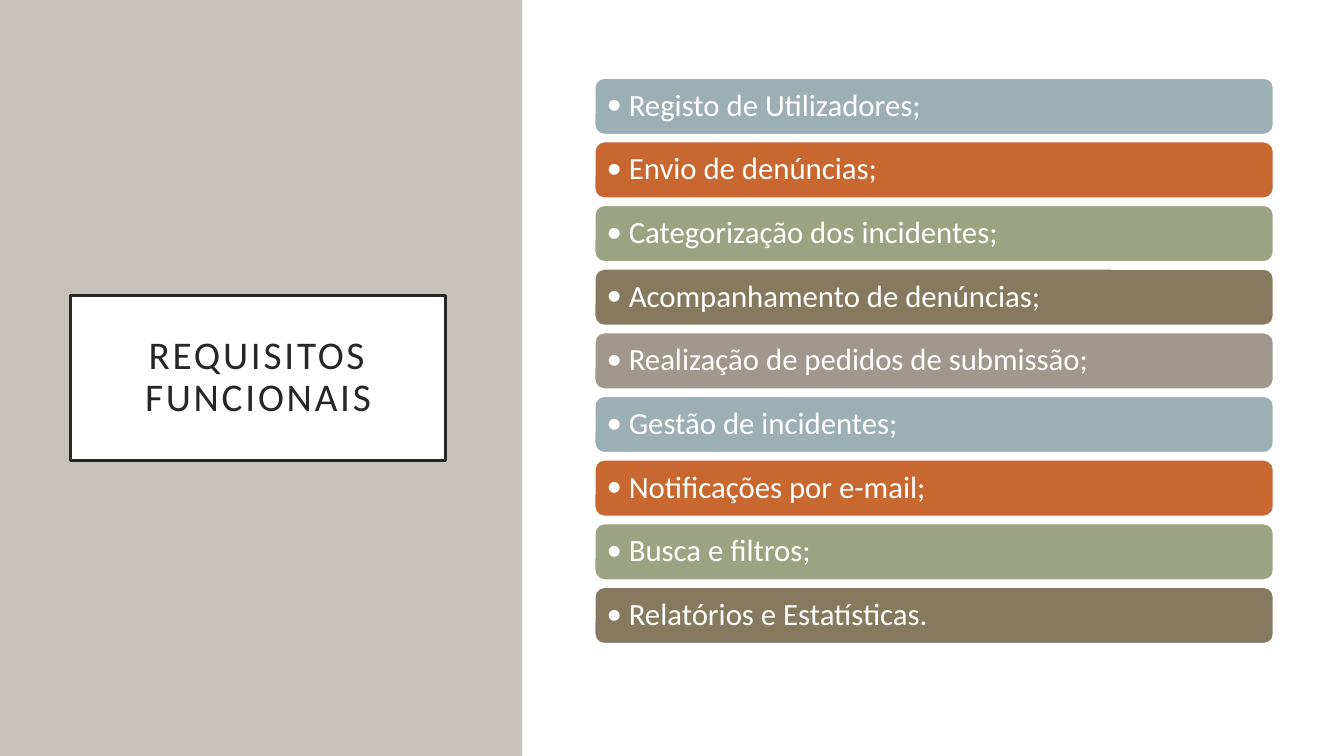
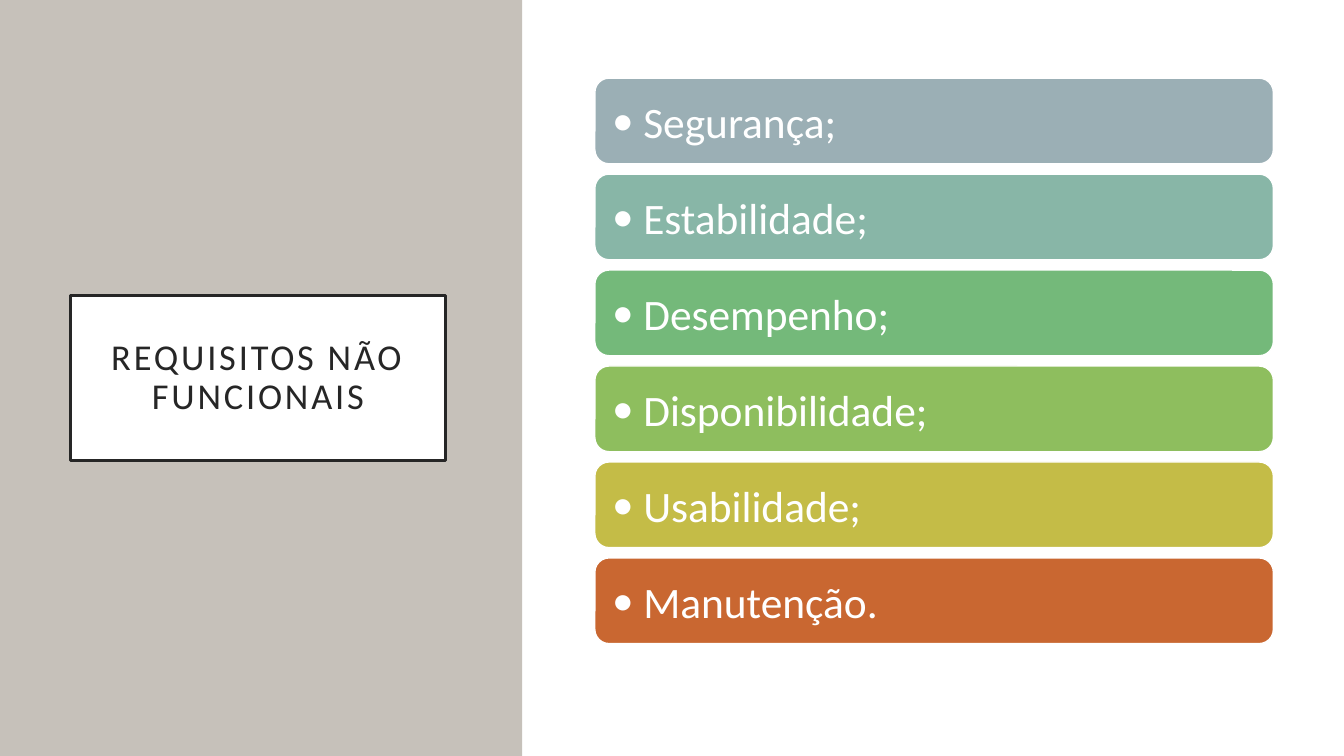
from dataclasses import dataclass
from typing import Any

from lxml.etree import SubElement
from pptx import Presentation
from pptx.dml.color import RGBColor
from pptx.enum.shapes import MSO_SHAPE as Preset
from pptx.enum.text import MSO_ANCHOR as Anchor, MSO_AUTO_SIZE as AutoSize, PP_ALIGN as Align
from pptx.oxml.ns import qn
from pptx.util import Inches, Pt

CELL = Inches(0.1)
FONT = "Calibri"
WHITE, INK, STONE = "FFFFFF", "262626", "C6C1BA"
BLUE, ORANGE, SAGE, BROWN, TAUPE = "9BAFB5", "C96731", "9CA383", "87795D", "A0988C"
TEAL, GREEN, LIME, MUSTARD = "88B6A7", "74B97A", "8EBE5E", "C4BC47"
BULLET_EM = 0.72


@dataclass(frozen=True)
class Area:
    column: float
    row: float
    columns: float
    rows: float

    def place(self) -> dict[str, int]:
        lengths = (self.column, self.row, self.columns, self.rows)
        return {name: round(length * CELL)
                for name, length in zip(("left", "top", "width", "height"), lengths)}


@dataclass(frozen=True)
class ListPage:
    title: str
    title_size: int
    items: tuple[str, ...]
    colors: tuple[str, ...]
    text_size: int
    gap_share: float
    inset: float
    line_spacing: float


PANEL = Area(0, 0, 51.8, 75)
TITLE = Area(7, 29.3, 37.2, 16.4)
BARS = Area(59, 7.75, 67.3, 56.1)

PAGES = (
    ListPage(
        "REQUISITOS FUNCIONAIS", 28,
        ("Registo de Utilizadores;", "Envio de denúncias;", "Categorização dos incidentes;",
         "Acompanhamento de denúncias;", "Realização de pedidos de submissão;",
         "Gestão de incidentes;", "Notificações por e-mail;", "Busca e filtros;",
         "Relatórios e Estatísticas."),
        (BLUE, ORANGE, SAGE, BROWN, TAUPE), 22, 0.13, 0.09, 0.9,
    ),
    ListPage(
        "REQUISITOS NÃO FUNCIONAIS", 26,
        ("Segurança;", "Estabilidade;", "Desempenho;", "Disponibilidade;", "Usabilidade;",
         "Manutenção."),
        (BLUE, TEAL, GREEN, LIME, MUSTARD, ORANGE), 31, 0.12, 0.13, 1.0,
    ),
)


def color(value: str) -> RGBColor:
    return RGBColor.from_string(value)


def apply(target: Any, formats: dict[str, Any]) -> None:
    for name, value in formats.items():
        setattr(target, name, value)


def paint(box: Any, fill: str, line: str | None = None, line_width: float = 1) -> None:
    box.fill.solid()
    box.fill.fore_color.rgb = color(fill)
    if line is None:
        box.line.fill.background()
    else:
        box.line.color.rgb = color(line)
        box.line.width = Pt(line_width)


def add_box(page: Any, preset: Preset, area: Area, fill: str, line: str | None = None) -> Any:
    box = page.shapes.add_shape(preset, **area.place())
    box.shadow.inherit = False
    paint(box, fill, line)
    return box


def write(box: Any, text: str, size: int, ink: str, inset: float,
          align: Align, line_spacing: float) -> tuple[Any, Any]:
    frame = box.text_frame
    sides = ("margin_left", "margin_top", "margin_right", "margin_bottom")
    apply(frame, {"word_wrap": True, "auto_size": AutoSize.NONE,
                  "vertical_anchor": Anchor.MIDDLE, **dict.fromkeys(sides, Inches(inset))})
    para = frame.paragraphs[0]
    apply(para, {"alignment": align, "line_spacing": line_spacing})
    span = para.add_run()
    span.text = text
    apply(span.font, {"name": FONT, "size": Pt(size)})
    span.font.color.rgb = color(ink)
    return para, span


def add_bullet(para: Any, size: int) -> None:
    indent = Pt(size * BULLET_EM)
    properties = para._p.get_or_add_pPr()
    properties.set("marL", str(indent))
    properties.set("indent", str(-indent))
    SubElement(properties, qn("a:buFont")).set("typeface", FONT)
    SubElement(properties, qn("a:buChar")).set("char", "•")


def add_title(page: Any, text: str, size: int) -> None:
    panel = add_box(page, Preset.RECTANGLE, PANEL, STONE)
    title = page.shapes.title
    title.element.addprevious(panel.element)
    apply(title, TITLE.place())
    paint(title, WHITE, INK, 2.5)
    _, span = write(title, text, size, INK, 0.2, Align.CENTER, 0.9)
    span._r.get_or_add_rPr().set("spc", "200")


def add_bars(page: Any, content: ListPage) -> None:
    count = len(content.items)
    rows = BARS.rows / (count + (count - 1) * content.gap_share)
    pitch = rows * (1 + content.gap_share)
    for index, item in enumerate(content.items):
        area = Area(BARS.column, BARS.row + index * pitch, BARS.columns, rows)
        fill = content.colors[index % len(content.colors)]
        bar = add_box(page, Preset.ROUNDED_RECTANGLE, area, fill, WHITE)
        para, _ = write(bar, item, content.text_size, WHITE, content.inset,
                        Align.LEFT, content.line_spacing)
        add_bullet(para, content.text_size)


def main() -> None:
    deck = Presentation()
    apply(deck, {"slide_width": Inches(13.33), "slide_height": Inches(7.5)})
    title_only = deck.slide_layouts.get_by_name("Title Only")
    for content in PAGES:
        page = deck.slides.add_slide(title_only)
        add_title(page, content.title, content.title_size)
        add_bars(page, content)
    deck.save("out.pptx")


if __name__ == "__main__":
    main()
